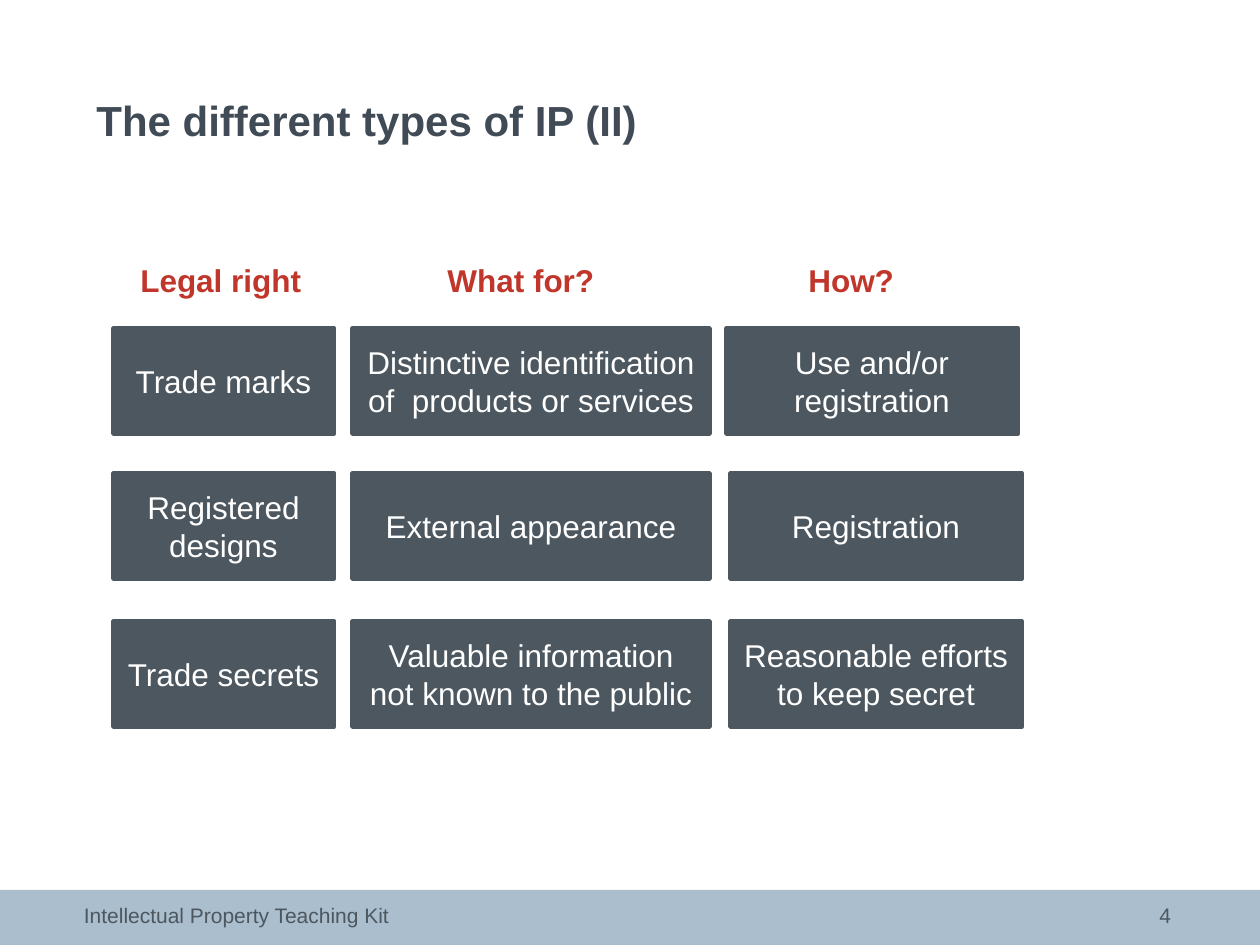
from pptx import Presentation, util as u
from pptx.dml.color import RGBColor
from pptx.enum import shapes, text

SCALE = 914400 / 126
SLATE = "4C575F"
RED = "C0362B"
TITLE = "404B56"
FOOTER = "ABBECD"
WHITE = "FFFFFF"

COLUMNS = [(113, 221), (352, 358), (730, 292)]
HEADINGS = [("Legal right", 128, 189), ("What for?", 435, 172), ("How?", 796, 111)]
ROWS = [
    (328, ["Trade marks", "Distinctive identification of  products or services",
           "Use and/or\nregistration"]),
    (473, ["Registered designs", "External appearance", "Registration"]),
    (621, ["Trade secrets", "Valuable information not known to the public",
           "Reasonable efforts to keep secret"]),
]
FIRST_ROW_SHIFT = -4


def px(n):
    return u.Emu(round(n * SCALE))


def rgb(value):
    return RGBColor.from_string(value)


def write(s, content, size=18, color=SLATE, bold=False, align=text.PP_ALIGN.LEFT,
          anchor=text.MSO_ANCHOR.TOP, wrap=True, inset=True):
    tf = s.text_frame
    tf.word_wrap = wrap
    tf.vertical_anchor = anchor
    if not inset:
        tf.margin_left = tf.margin_right = tf.margin_top = tf.margin_bottom = 0
    for i, line in enumerate(content.split("\n")):
        p = tf.add_paragraph() if i else tf.paragraphs[0]
        p.alignment = align
        r = p.add_run()
        r.text = line
        r.font.name = "Arial"
        r.font.size = u.Pt(size)
        r.font.bold = bold
        r.font.color.rgb = rgb(color)


def add_label(sp, content, x, y, w, h, **fmt):
    s = sp.add_textbox(px(x), px(y), px(w), px(h))
    write(s, content, **fmt)
    return s


def add_bar(sp, x, y, w, h, fill):
    s = sp.add_shape(shapes.MSO_SHAPE.RECTANGLE, px(x), px(y), px(w), px(h))
    s.shadow.inherit = False
    s.fill.solid()
    s.fill.fore_color.rgb = rgb(fill)
    s.line.fill.background()
    return s


def add_box(sp, content, x, y, w, h):
    s = add_bar(sp, x, y, w, h, SLATE)
    s.line.color.rgb = rgb(SLATE)
    s.line.width = u.Pt(2)
    write(s, content, color=WHITE, align=text.PP_ALIGN.CENTER,
          anchor=text.MSO_ANCHOR.MIDDLE)


def main():
    prs = Presentation()
    prs.slide_width, prs.slide_height = px(1260), px(945)
    sp = prs.slides.add_slide(prs.slide_layouts[6]).shapes

    add_bar(sp, 0, 890, 1260, 55, FOOTER)
    add_label(sp, "The different types of IP (II)", 84, 55, 1091, 129, size=24,
              color=TITLE, bold=True, anchor=text.MSO_ANCHOR.MIDDLE)

    for heading, x, w in HEADINGS:
        s = add_label(sp, heading, x, 255, w, 50, color=RED, bold=True, wrap=False)
        s.text_frame.auto_size = text.MSO_AUTO_SIZE.SHAPE_TO_FIT_TEXT

    for i, (y, cells) in enumerate(ROWS):
        for j, ((x, w), cell) in enumerate(zip(COLUMNS, cells)):
            shift = FIRST_ROW_SHIFT if (i, j) == (0, 2) else 0
            add_box(sp, cell, x + shift, y, w, 106)

    add_label(sp, "Intellectual Property Teaching Kit", 84, 903, 745, 42,
              size=12, inset=False)
    add_label(sp, "4", 1067, 900, 104, 30, size=12, inset=False,
              align=text.PP_ALIGN.RIGHT, anchor=text.MSO_ANCHOR.MIDDLE)

    prs.save("out.pptx")


if __name__ == "__main__":
    main()
